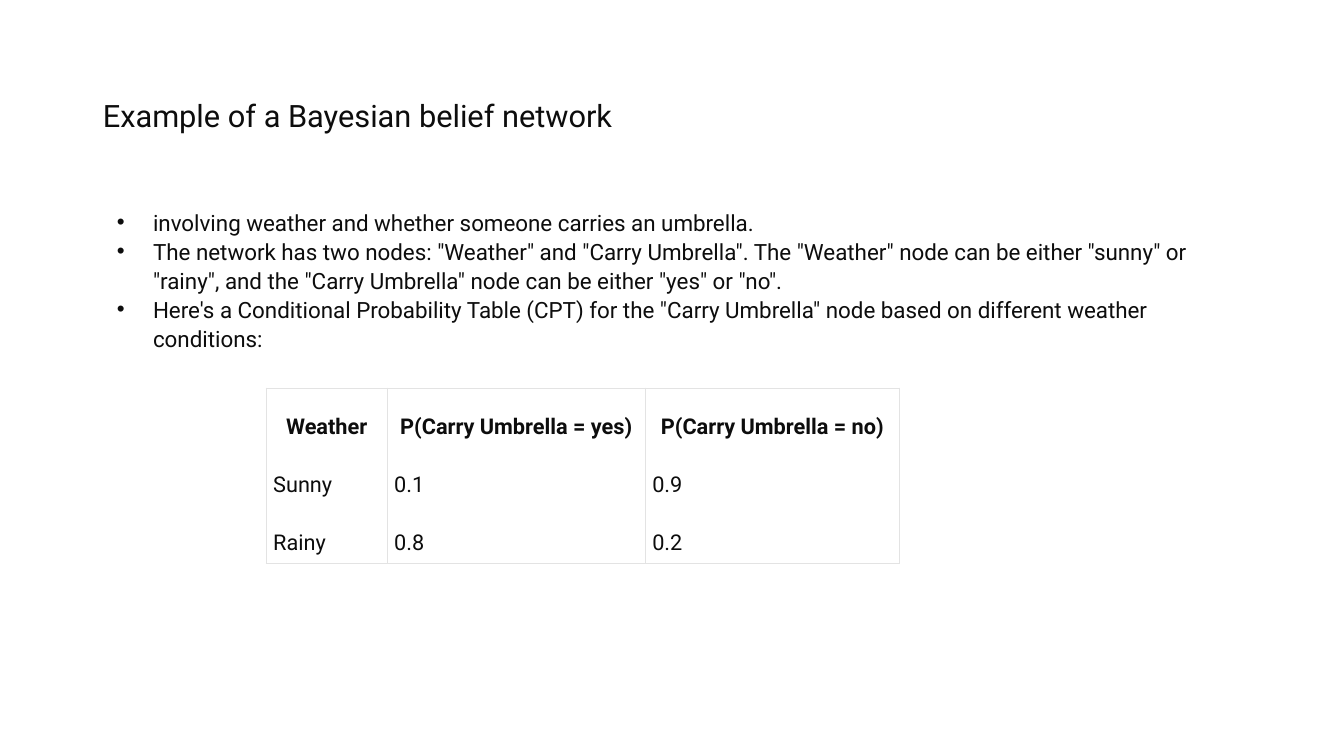
from lxml.etree import SubElement
from pptx import Presentation
from pptx.dml.color import RGBColor
from pptx.enum.text import MSO_ANCHOR, PP_ALIGN
from pptx.oxml import parse_xml
from pptx.oxml.ns import nsdecls, qn
from pptx.util import Inches, Pt

TITLE = "Example of a Bayesian belief network"
BULLETS = [
    "involving weather and whether someone carries an umbrella.",
    'The network has two nodes: "Weather" and "Carry Umbrella". The "Weather" node '
    'can be either "sunny" or "rainy", and the "Carry Umbrella" node can be either "yes" or "no".',
    'Here\'s a Conditional Probability Table (CPT) for the "Carry Umbrella" node '
    "based on different weather conditions:",
]
ROWS = [
    ("Weather", "P(Carry Umbrella = yes)", "P(Carry Umbrella = no)"),
    ("Sunny", "0.1", "0.9"),
    ("Rainy", "0.8", "0.2"),
]
COL_WIDTHS = [1.2, 2.56, 2.52]
ROW_HEIGHTS = [0.49, 0.48, 0.48]
INK, GRID = "0D0D0D", "E3E3E3"
TITLE_FORMAT = {"alignment": PP_ALIGN.LEFT, "line_spacing": 1.08, "space_after": Pt(15)}
BULLET_FORMAT = {"line_spacing": 1.08, "space_before": Pt(0)}
CELL_FORMAT = {"line_spacing": 1.71, "space_after": Pt(8)}
CELL_MARGINS = {f"margin_{side}": Inches(0.07) for side in ("left", "right", "top", "bottom")}


def color(value):
    return RGBColor.from_string(value)


def apply(target, values):
    for name, value in values.items():
        setattr(target, name, value)


def write(p, text, size, fmt, bold=False):
    apply(p, fmt)
    r = p.add_run()
    r.text = text
    apply(r.font, {"name": "Roboto", "size": Pt(size), "bold": bold})
    r.font.color.rgb = color(INK)


def add_bullet(p):
    pPr = p._p.get_or_add_pPr()
    pPr.set("marL", str(Inches(0.5)))
    pPr.set("indent", str(Inches(-0.36)))
    SubElement(SubElement(pPr, qn("a:buClr")), qn("a:srgbClr"), val=INK)
    SubElement(pPr, qn("a:buFont"), typeface="Arial")
    SubElement(pPr, qn("a:buChar"), char="•")


def set_borders(cell, shown):
    tcPr = cell._tc.get_or_add_tcPr()
    for i, side in enumerate("LRTB"):
        fill = f'<a:solidFill><a:srgbClr val="{GRID}"/></a:solidFill>' if side in shown else "<a:noFill/>"
        tcPr.insert(i, parse_xml(f'<a:ln{side} {nsdecls("a")} w="{Pt(0.6)}">{fill}</a:ln{side}>'))


prs = Presentation()
apply(prs, {"slide_width": Inches(13.33), "slide_height": Inches(7.5)})
s = prs.slides.add_slide(prs.slide_layouts[5])

title = s.shapes.title
apply(title, {"left": Inches(0.92), "top": Inches(0.4), "width": Inches(11.5), "height": Inches(1.45)})
title.text_frame.vertical_anchor = MSO_ANCHOR.MIDDLE
write(title.text_frame.paragraphs[0], TITLE, 22, TITLE_FORMAT)

body = s.shapes.add_textbox(Inches(0.92), Inches(2), Inches(11.5), Inches(4.76))
tf = body.text_frame
tf.word_wrap = True
for i, text in enumerate(BULLETS):
    p = tf.add_paragraph() if i else tf.paragraphs[0]
    write(p, text, 16, BULLET_FORMAT)
    add_bullet(p)

table = s.shapes.add_table(
    len(ROWS), len(COL_WIDTHS), Inches(2.64), Inches(3.85),
    Inches(sum(COL_WIDTHS)), Inches(sum(ROW_HEIGHTS)),
).table
apply(table, {"first_row": False, "horz_banding": False})
for column, width in zip(table.columns, COL_WIDTHS):
    column.width = Inches(width)
for i, (height, values) in enumerate(zip(ROW_HEIGHTS, ROWS)):
    table.rows[i].height = Inches(height)
    header = i == 0
    edges = "LR" + ("T" if header else "") + ("B" if i == len(ROWS) - 1 else "")
    align = PP_ALIGN.CENTER if header else PP_ALIGN.LEFT
    for j, text in enumerate(values):
        cell = table.cell(i, j)
        apply(cell, CELL_MARGINS)
        cell.vertical_anchor = MSO_ANCHOR.BOTTOM if header else MSO_ANCHOR.MIDDLE
        cell.fill.background()
        set_borders(cell, edges)
        write(cell.text_frame.paragraphs[0], text, 15.5, {**CELL_FORMAT, "alignment": align}, header)

prs.save("out.pptx")
